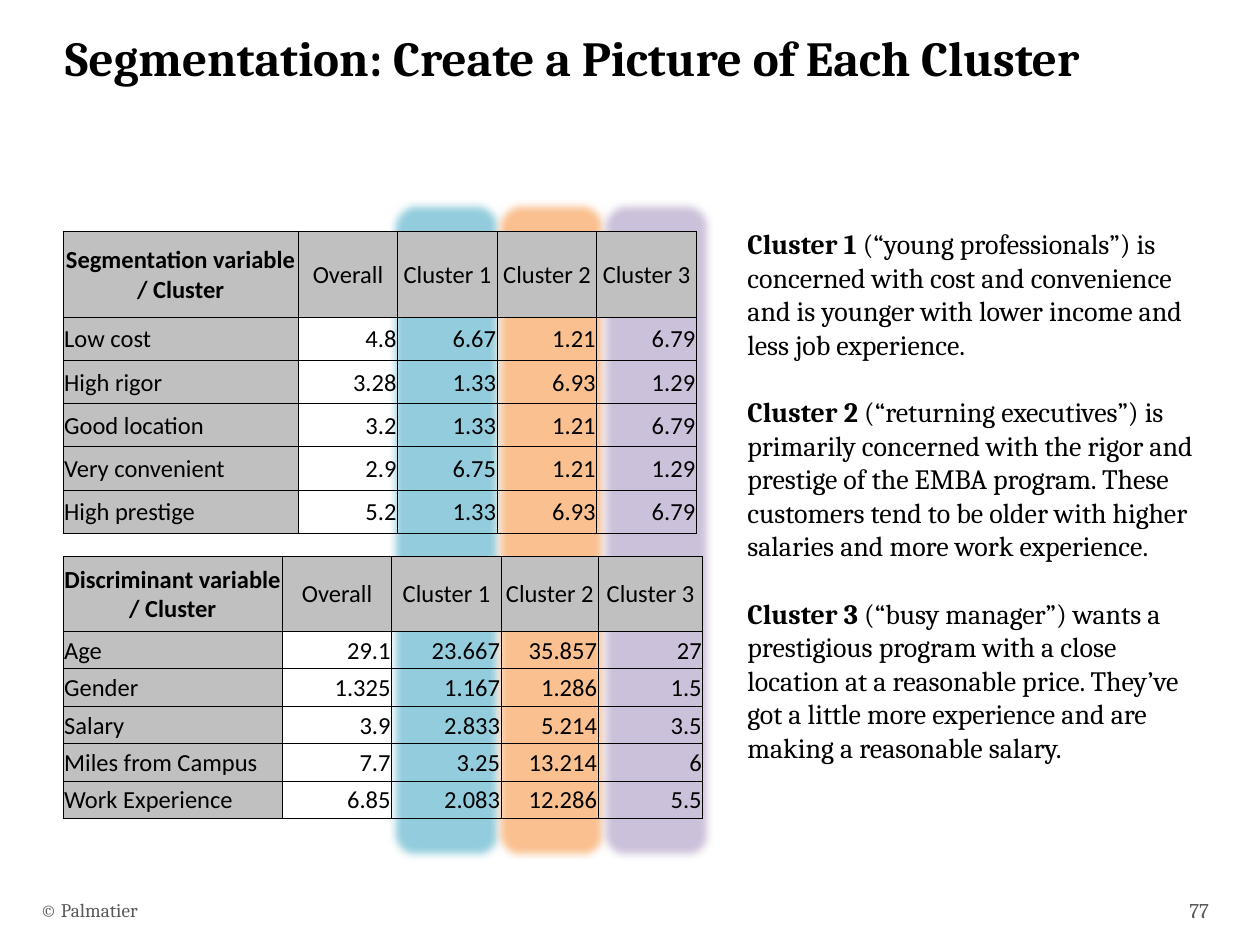
from lxml.etree import SubElement
from pptx import Presentation
from pptx.dml.color import RGBColor
from pptx.enum.shapes import MSO_SHAPE
from pptx.enum.text import MSO_ANCHOR, MSO_AUTO_SIZE, PP_ALIGN
from pptx.oxml.ns import qn
from pptx.util import Pt


def rgb(value):
    return RGBColor.from_string(value)


def add_run(p, text, name, size, color="000000", bold=False):
    r = p.add_run()
    r.text = text
    for key, value in dict(name=name, size=Pt(size), bold=bold).items():
        setattr(r.font, key, value)
    r.font.color.rgb = rgb(color)


prs = Presentation()
prs.slide_width, prs.slide_height = Pt(720), Pt(540)
s = prs.slides.add_slide(prs.slide_layouts[5])

# Title
title = s.shapes.title
title.left, title.top, title.width, title.height = Pt(30), Pt(12), Pt(596), Pt(90)
tf = title.text_frame
for key, value in dict(word_wrap=True, auto_size=MSO_AUTO_SIZE.NONE,
                       vertical_anchor=MSO_ANCHOR.TOP).items():
    setattr(tf, key, value)
p = tf.paragraphs[0]
p.alignment = PP_ALIGN.LEFT
add_run(p, "Segmentation: Create a Picture of Each Cluster", "Cambria", 28, bold=True)

# Soft-edged colour band behind each cluster
for i, color in enumerate(["93CDDD", "FAC090", "CCC1DA"]):
    band = s.shapes.add_shape(MSO_SHAPE.ROUNDED_RECTANGLE,
                              Pt(222 + 60 * i), Pt(114), Pt(66), Pt(378))
    band.shadow.inherit = False
    band.fill.solid()
    band.fill.fore_color.rgb = rgb(color)
    band.line.fill.background()
    effects = band._element.spPr.find(qn("a:effectLst"))
    SubElement(effects, qn("a:softEdge"), rad=str(Pt(5)))

# Tables: the header row is twice as tall as a data row
heads = ["Overall", "Cluster 1", "Cluster 2", "Cluster 3"]
tables = [
    (132, 172.8, [134.4, 56.9, 56.9, 56.9, 56.9], [
        ["Segmentation variable / Cluster", *heads],
        ["Low cost", "4.8", "6.67", "1.21", "6.79"],
        ["High rigor", "3.28", "1.33", "6.93", "1.29"],
        ["Good location", "3.2", "1.33", "1.21", "6.79"],
        ["Very convenient", "2.9", "6.75", "1.21", "1.29"],
        ["High prestige", "5.2", "1.33", "6.93", "6.79"],
    ]),
    (318, 150, [125.3, 62.6, 62.6, 55.4, 59.8], [
        ["Discriminant variable / Cluster", *heads],
        ["Age", "29.1", "23.667", "35.857", "27"],
        ["Gender", "1.325", "1.167", "1.286", "1.5"],
        ["Salary", "3.9", "2.833", "5.214", "3.5"],
        ["Miles from Campus", "7.7", "3.25", "13.214", "6"],
        ["Work Experience", "6.85", "2.083", "12.286", "5.5"],
    ]),
]
cell_format = dict(margin_left=Pt(0.7), margin_right=Pt(0.7), margin_top=Pt(0.7),
                   margin_bottom=0, vertical_anchor=MSO_ANCHOR.MIDDLE)
for top, height, widths, rows in tables:
    table = s.shapes.add_table(len(rows), len(widths), Pt(36), Pt(top),
                               Pt(sum(widths)), Pt(height)).table
    table.first_row = table.horz_banding = False
    for col, width in zip(table.columns, widths):
        col.width = Pt(width)
    unit = height / (len(rows) + 1)
    for i, row in enumerate(rows):
        table.rows[i].height = Pt(unit * (2 if i == 0 else 1))
        for j, text in enumerate(row):
            cell = table.cell(i, j)
            for key, value in cell_format.items():
                setattr(cell, key, value)
            for side in ("a:lnL", "a:lnR", "a:lnT", "a:lnB"):
                ln = SubElement(cell._tc.get_or_add_tcPr(), qn(side), w=str(Pt(0.5)))
                SubElement(SubElement(ln, qn("a:solidFill")), qn("a:srgbClr"), val="000000")
            if i == 0 or j == 0:
                cell.fill.solid()
                cell.fill.fore_color.rgb = rgb("C0C0C0")
            else:
                cell.fill.background()
            p = cell.text_frame.paragraphs[0]
            p.alignment = (PP_ALIGN.CENTER if i == 0 else
                           PP_ALIGN.LEFT if j == 0 else PP_ALIGN.RIGHT)
            add_run(p, text, "Calibri", 14, bold=i == j == 0)

# Cluster descriptions
clusters = [
    ("Cluster 1 ", "(“young professionals”) is concerned with cost and convenience "
     "and is younger with lower income and less job experience."),
    ("Cluster 2 ", "(“returning executives”) is primarily concerned with the rigor and "
     "prestige of the EMBA program. These customers tend to be older with higher "
     "salaries and more work experience."),
    ("Cluster 3 ", "(“busy manager”) wants a prestigious program with a close location "
     "at a reasonable price. They’ve got a little more experience and are making a "
     "reasonable salary."),
]
tf = s.shapes.add_textbox(Pt(420), Pt(126), Pt(276), Pt(337)).text_frame
tf.word_wrap = True
for i, (name, description) in enumerate(clusters):
    p = tf.add_paragraph() if i else tf.paragraphs[0]
    if i:
        p.space_before = Pt(19.2)
    add_run(p, name, "Cambria", 16, bold=True)
    add_run(p, description, "Cambria", 16)

# Footer and slide number
for left, width, text, size, align in [
    (16, 482, "© Palmatier", 11, PP_ALIGN.LEFT),
    (654, 44, "77", 12, PP_ALIGN.RIGHT),
]:
    tf = s.shapes.add_textbox(Pt(left), Pt(505.5), Pt(width), Pt(29)).text_frame
    tf.word_wrap = True
    tf.vertical_anchor = MSO_ANCHOR.MIDDLE
    p = tf.paragraphs[0]
    p.alignment = align
    add_run(p, text, "Cambria", size, "595959")

prs.save("out.pptx")
